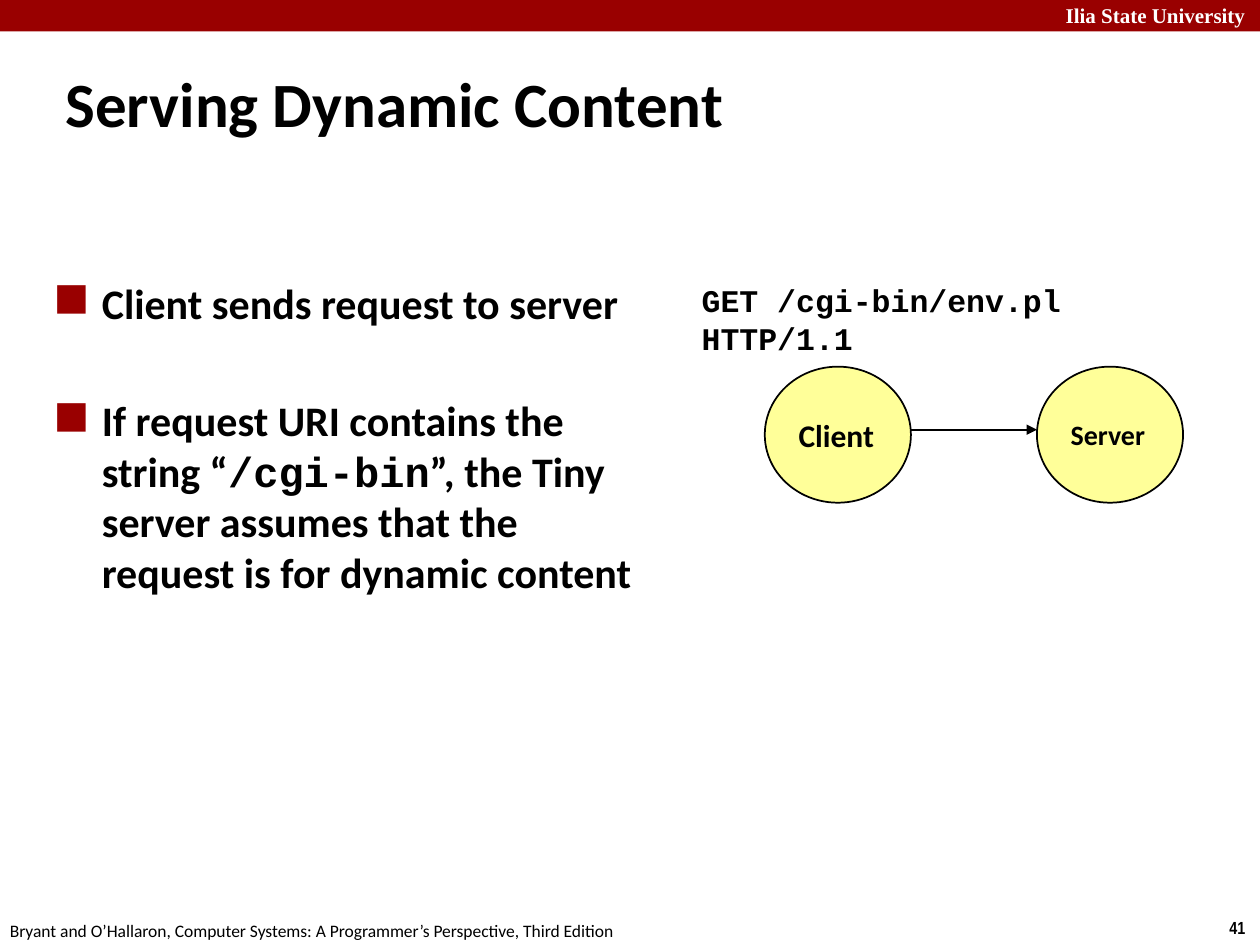
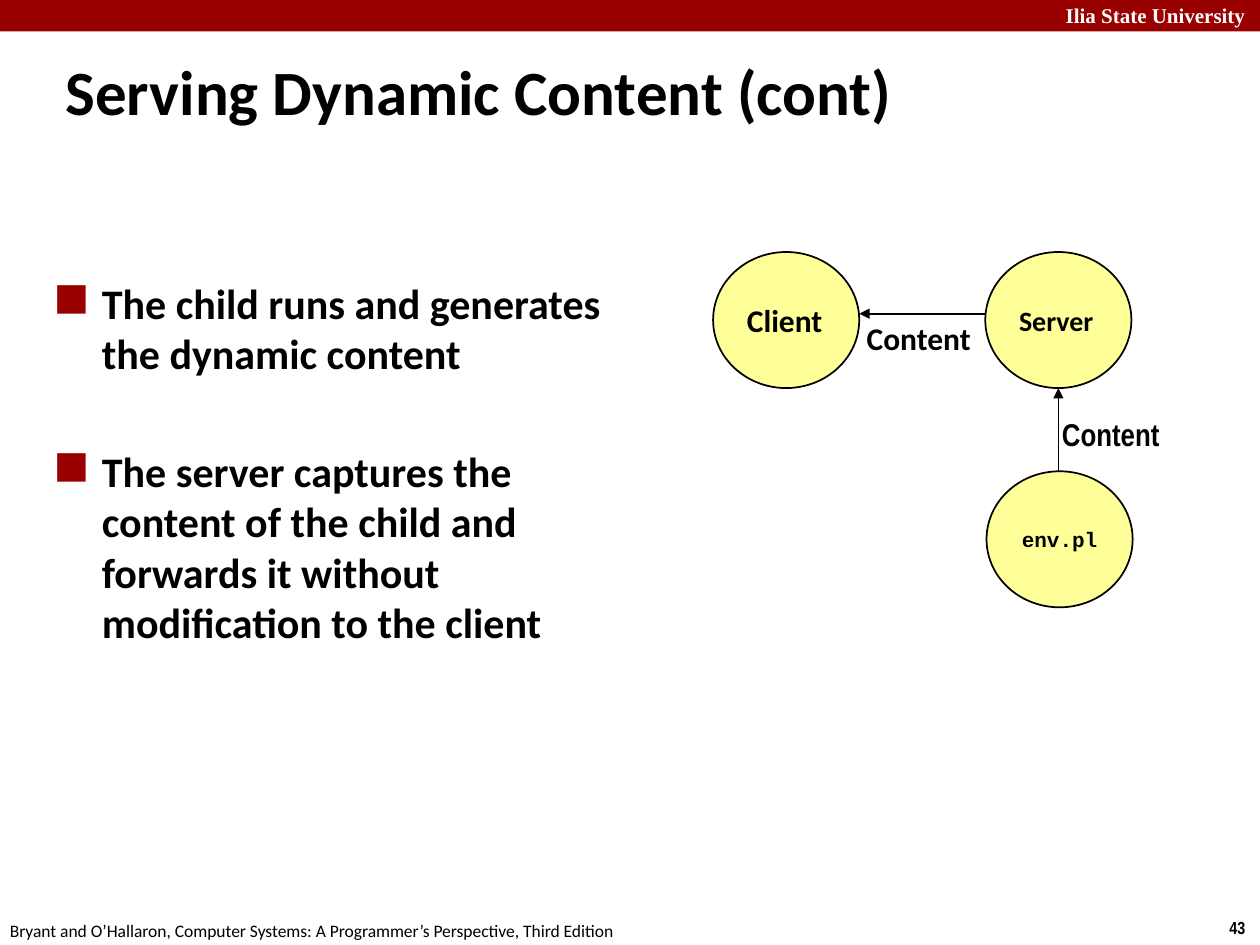
"""Build two slides on how a web server delivers dynamic content."""
from lxml import etree
from pptx import Presentation
from pptx import util as u
from pptx.dml.color import RGBColor
from pptx.enum import shapes, text
from pptx.oxml.ns import qn

RED = RGBColor(0x99, 0x00, 0x00)
YELLOW = RGBColor(0xFF, 0xFF, 0x99)
BLACK = RGBColor(0, 0, 0)
WHITE = RGBColor(0xFF, 0xFF, 0xFF)
SANS, NARROW, MONO, SERIF = "Calibri", "Arial Narrow", "Courier New", "Times New Roman"
UNIVERSITY = "Ilia State University"
BOOK = "Bryant and O’Hallaron, Computer Systems: A Programmer’s Perspective, Third Edition"
NODE_WIDTH, NODE_HEIGHT = 1.16, 1.08
NODE_STEP = 2.16


class Deck:
    def __init__(self):
        self.deck = Presentation()
        self.deck.slide_width, self.deck.slide_height = u.Inches(10), u.Inches(7.5)
        self.page = None

    def add_page(self, title, number, title_top):
        self.page = self.deck.slides.add_slide(self.deck.slide_layouts[5])
        self.add_band()
        self.add_text(UNIVERSITY, 8.36, -0.03, 1.71, 0.3, 12, SERIF, WHITE)
        self.add_text(str(number), 9.66, 7.23, 0.34, 0.27, 10, NARROW)
        self.add_text(BOOK, -0.02, 7.25, 5.08, 0.27, 10, bold=False)
        box = self.page.shapes.title
        box.left, box.top = u.Inches(0.42), u.Inches(title_top)
        box.width, box.height = u.Inches(9), u.Inches(0.63)
        frame = box.text_frame
        frame.text = title
        frame.auto_size = text.MSO_AUTO_SIZE.NONE
        frame.vertical_anchor = text.MSO_ANCHOR.TOP
        self.style(frame.paragraphs[0], 36)

    def style(self, para, size, font=SANS, color=BLACK, bold=True,
              align=text.PP_ALIGN.LEFT):
        para.alignment = align
        para.font.size, para.font.name, para.font.bold = u.Pt(size), font, bold
        para.font.color.rgb = color

    def add_band(self):
        band = self.page.shapes.add_shape(shapes.MSO_SHAPE.RECTANGLE, 0, 0,
                                          self.deck.slide_width, u.Inches(0.25))
        band.shadow.inherit = False
        band.fill.solid()
        band.fill.fore_color.rgb = RED
        band.line.fill.background()

    def add_text(self, words, left, top, width, height, size, font=SANS,
                 color=BLACK, bold=True, wrap=False, anchor=text.MSO_ANCHOR.TOP):
        box = self.page.shapes.add_textbox(*map(u.Inches, (left, top, width, height)))
        frame = box.text_frame
        frame.word_wrap = wrap
        frame.vertical_anchor = anchor
        frame.text = words
        self.style(frame.paragraphs[0], size, font, color, bold)

    def add_label(self, words, left, top, width, font=SANS, wrap=False):
        self.add_text(words, left, top, width, 0.4, 18, font, wrap=wrap,
                      anchor=text.MSO_ANCHOR.MIDDLE)

    def add_bullets(self, items, width):
        box = self.page.shapes.add_textbox(*map(u.Inches, (0.33, 2.15, width, 4.87)))
        frame = box.text_frame
        frame.word_wrap = True
        for index, spans in enumerate(items):
            para = frame.add_paragraph() if index else frame.paragraphs[0]
            props = para._p.get_or_add_pPr()
            props.set("marL", str(u.Inches(0.38)))
            props.set("indent", str(-u.Inches(0.38)))
            tint = etree.SubElement(props, qn("a:buClr"))
            etree.SubElement(tint, qn("a:srgbClr"), val=str(RED))
            etree.SubElement(props, qn("a:buSzPct"), val="140000")
            etree.SubElement(props, qn("a:buFont"), typeface=MONO)
            etree.SubElement(props, qn("a:buChar"), char="■")
            if index:
                para.space_before = u.Pt(38.5)
            self.style(para, 24)
            for words, font in spans:
                span = para.add_run()
                span.text = words
                if font != SANS:
                    span.font.name = font

    def add_node(self, name, left, top, size, font=SANS, align=text.PP_ALIGN.LEFT):
        node = self.page.shapes.add_shape(
            shapes.MSO_SHAPE.OVAL, u.Inches(left), u.Inches(top),
            u.Inches(NODE_WIDTH), u.Inches(NODE_HEIGHT))
        node.shadow.inherit = False
        node.fill.solid()
        node.fill.fore_color.rgb = YELLOW
        node.line.color.rgb = BLACK
        node.line.width = u.Pt(1)
        frame = node.text_frame
        frame.vertical_anchor = text.MSO_ANCHOR.MIDDLE
        frame.text = name
        self.style(frame.paragraphs[0], size, font, align=align)

    def add_client_and_server(self, left, top):
        self.add_node("Client", left, top, 18)
        self.add_node("Server", left + NODE_STEP, top, 16)

    def add_arrow(self, *ends):
        arrow = self.page.shapes.add_connector(shapes.MSO_CONNECTOR.STRAIGHT,
                                               *map(u.Inches, ends))
        arrow.line.color.rgb = BLACK
        arrow.line.width = u.Pt(1)
        etree.SubElement(arrow.line._get_or_add_ln(), qn("a:tailEnd"), type="triangle")
        etree.SubElement(arrow._element.spPr, qn("a:effectLst"))


def main():
    slides = Deck()

    slides.add_page("Serving Dynamic Content", 41, 0.46)
    slides.add_client_and_server(6.07, 2.91)
    slides.add_bullets([
        [("Client sends request to server", SANS)],
        [("If request URI contains the string “", SANS), ("/cgi-bin", MONO),
         ("”, the Tiny server assumes that the request is for dynamic content", SANS)],
    ], 4.84)
    slides.add_arrow(7.23, 3.41, 8.23, 3.41)
    slides.add_label("GET /cgi-bin/env.pl HTTP/1.1", 5.47, 2.33, 4.38, MONO, wrap=True)

    slides.add_page("Serving Dynamic Content (cont)", 43, 0.37)
    slides.add_client_and_server(5.66, 2)
    slides.add_bullets([
        [("The child runs and generates the dynamic content", SANS)],
        [("The server captures the content of the child and forwards it "
          "without modification to the client", SANS)],
    ], 4.69)
    slides.add_node("env.pl", 7.83, 3.74, 12, MONO, text.PP_ALIGN.CENTER)
    slides.add_arrow(8.4, 3.74, 8.4, 3.08)
    slides.add_label("Content", 8.33, 3.24, 1.15, NARROW)
    slides.add_label("Content", 6.78, 2.48, 1.04)
    slides.add_arrow(7.82, 2.49, 6.82, 2.49)

    slides.deck.save("out.pptx")


if __name__ == "__main__":
    main()
